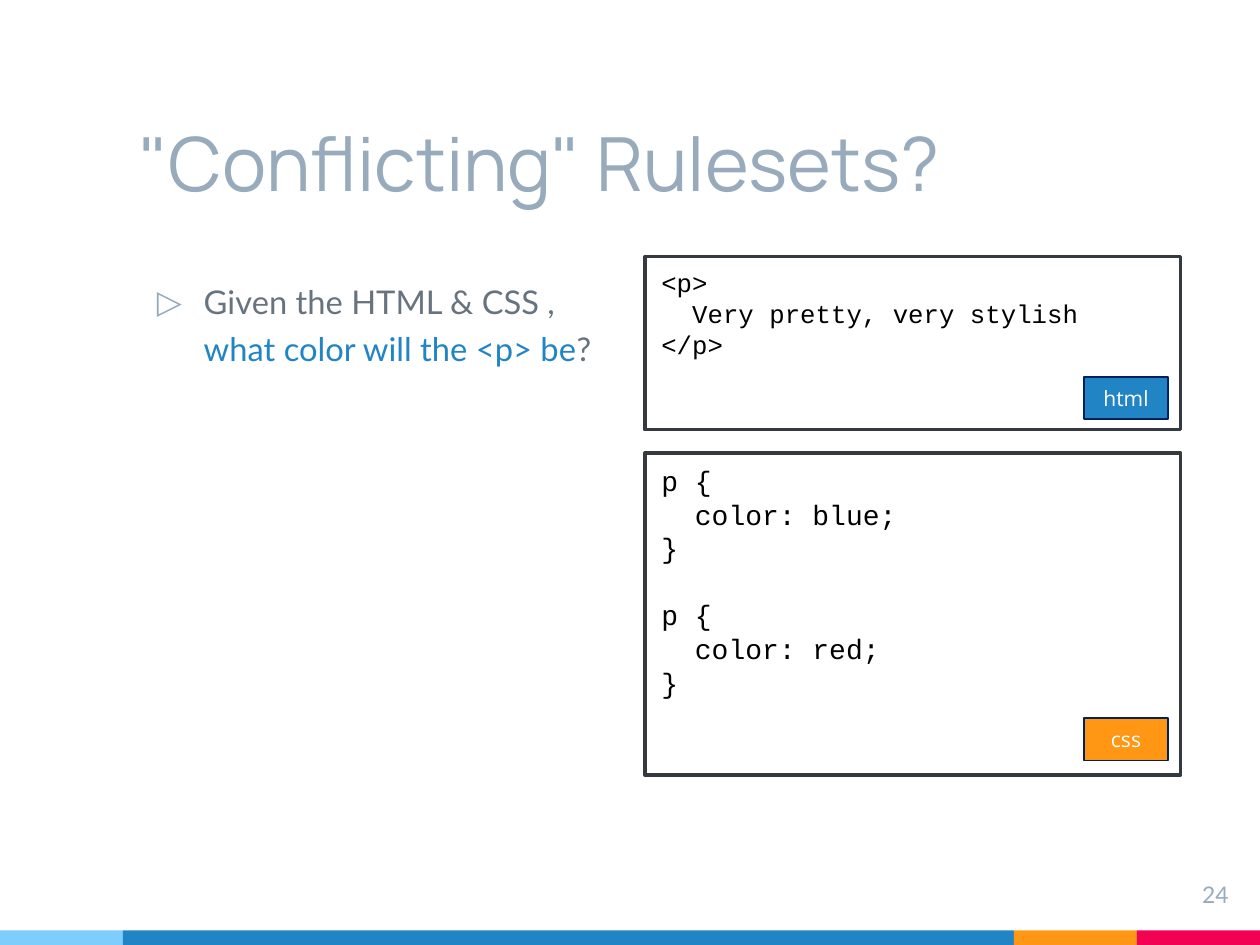
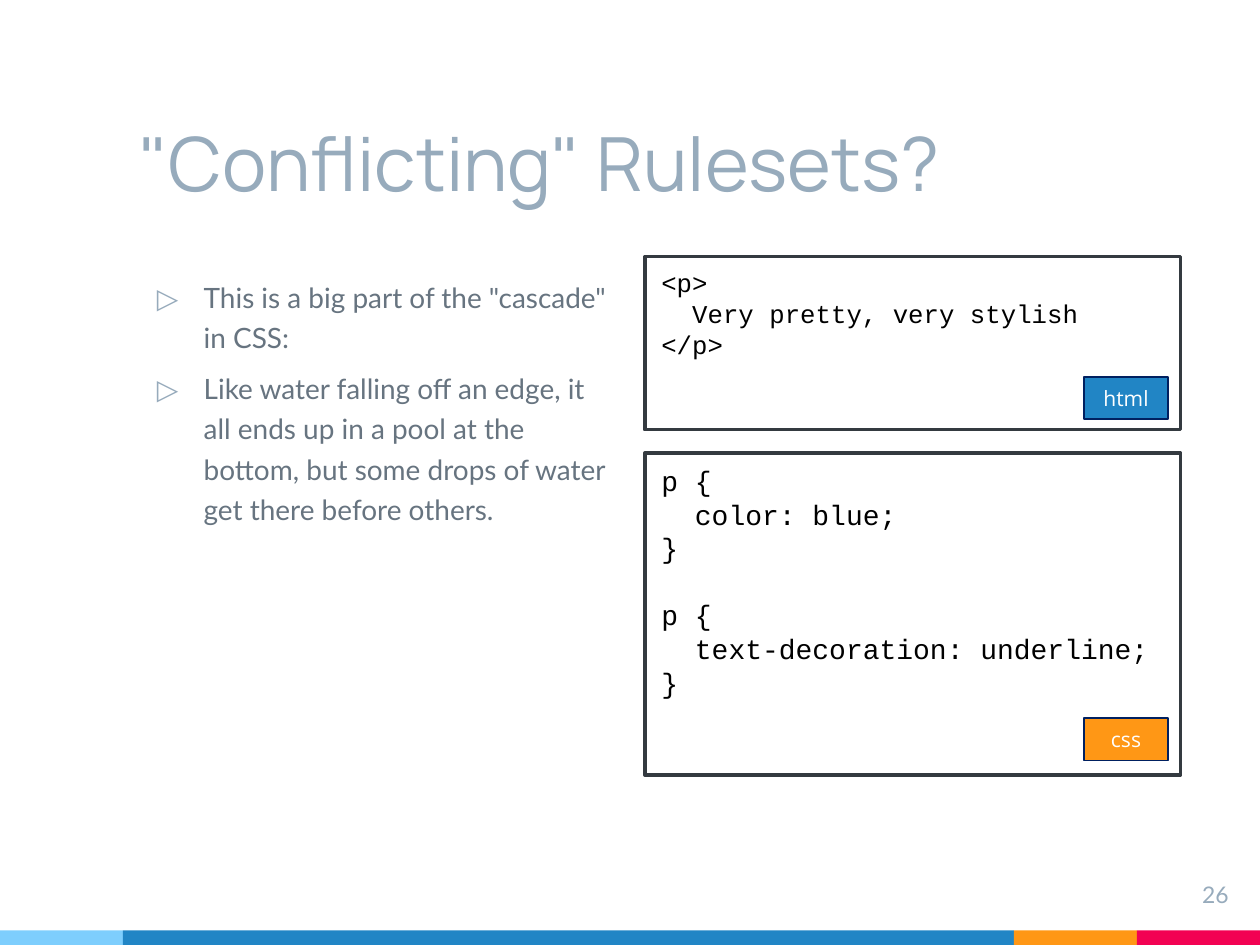
import dataclasses
import typing

import lxml.etree
import pptx
import pptx.dml.color
import pptx.enum.shapes
import pptx.enum.text
import pptx.oxml.ns
import pptx.presentation
import pptx.shapes.autoshape
import pptx.slide
import pptx.text.text
import pptx.util

Cm = pptx.util.Cm
Pt = pptx.util.Pt
ALIGN = pptx.enum.text.PP_ALIGN
ANCHOR = pptx.enum.text.MSO_ANCHOR


@dataclasses.dataclass(frozen=True)
class Theme:
    white: str = "FFFFFF"
    black: str = "000000"
    muted: str = "97ABBC"
    body: str = "677480"
    sky: str = "7ECEFD"
    blue: str = "2185C5"
    orange: str = "FF9715"
    pink: str = "F20253"
    frame: str = "343A40"
    navy: str = "002060"
    title_font: str = "Manrope"
    body_font: str = "Lato"
    code_font: str = "Courier New"
    tag_font: str = "Open Sans"
    title_size: float = 32
    number_size: float = 9.8
    tag_size: float = 9
    html_size: float = 11
    css_size: float = 12


THEME = Theme()


class Box(typing.NamedTuple):
    left: float
    top: float
    width: float
    height: float


class Span(typing.NamedTuple):
    text: str
    color: str = THEME.body


class CodeLine(typing.NamedTuple):
    text: str
    indent: int = 0
    gap: bool = False


@dataclasses.dataclass(frozen=True)
class CodePanel:
    box: Box
    size: float
    tag: str
    tag_color: str
    tag_top: float
    lines: list[CodeLine]


@dataclasses.dataclass(frozen=True)
class Page:
    number: int
    bullet_size: float
    bullets: list[list[Span]]
    declarations: list[str]


SLIDE_W, SLIDE_H = 19.05, 14.29
BAND_W, BAND_H = 1.86, 0.22
INSET = 0.25
CODE_PITCH = 1.2
CODE_CHAR = 0.6
TITLE = '"Conflicting" Rulesets?'
TITLE_BOX = Box(BAND_W, 1, 15.8, 2.38)
BODY_BOX = Box(BAND_W, 3.89, 7.67, 4.09)
NUMBER_BOX = Box(17.68, 13.06, 1.15, 0.87)
HTML_LINES = [
    CodeLine("<p>"),
    CodeLine("Very pretty, very stylish", indent=2),
    CodeLine("</p>"),
]
PAGES = [
    Page(
        24,
        14,
        [[
            Span("Given the HTML & CSS , "),
            Span("what color will the <p> be", THEME.blue),
            Span("?"),
        ]],
        ["color: blue;", "color: red;"],
    ),
    Page(
        26,
        12,
        [
            [Span('This is a big part of the "cascade" in CSS:')],
            [Span(
                "Like water falling off an edge, it all ends up in a pool at the "
                "bottom, but some drops of water get there before others."
            )],
        ],
        ["color: blue;", "text-decoration: underline;"],
    ),
]


def rgb(color: str) -> pptx.dml.color.RGBColor:
    return pptx.dml.color.RGBColor.from_string(color)


def add_text(
    p: pptx.text.text._Paragraph, text: str, *, font: str, size: float, color: str
) -> None:
    r = p.add_run()
    r.text = text
    r.font.name = font
    r.font.size = Pt(size)
    r.font.color.rgb = rgb(color)


def next_paragraph(tf: pptx.text.text.TextFrame, i: int) -> pptx.text.text._Paragraph:
    return tf.add_paragraph() if i else tf.paragraphs[0]


def set_frame(
    tf: pptx.text.text.TextFrame, anchor: ANCHOR, inset: float = INSET
) -> None:
    tf.word_wrap = True
    tf.auto_size = pptx.enum.text.MSO_AUTO_SIZE.NONE
    tf.vertical_anchor = anchor
    tf.margin_left = tf.margin_right = tf.margin_top = tf.margin_bottom = Cm(inset)


def place(sp: pptx.shapes.autoshape.Shape, box: Box) -> None:
    sp.left, sp.top, sp.width, sp.height = map(Cm, box)


def set_indent(p: pptx.text.text._Paragraph, left: int, first: int = 0) -> None:
    pPr = p._p.get_or_add_pPr()
    pPr.set("marL", str(left))
    pPr.set("indent", str(first))


def set_bullet(p: pptx.text.text._Paragraph) -> None:
    qn = pptx.oxml.ns.qn
    pPr = p._p.get_or_add_pPr()
    clr = lxml.etree.SubElement(pPr, qn("a:buClr"))
    lxml.etree.SubElement(clr, qn("a:srgbClr"), val=THEME.muted)
    lxml.etree.SubElement(pPr, qn("a:buFont"), typeface=THEME.body_font)
    lxml.etree.SubElement(pPr, qn("a:buChar"), char="▷")


def add_rect(
    s: pptx.slide.Slide,
    box: Box,
    fill: str | None = None,
    line: str | None = None,
    weight: float = 0.75,
) -> pptx.shapes.autoshape.Shape:
    sp = s.shapes.add_shape(
        pptx.enum.shapes.MSO_SHAPE.RECTANGLE, *map(Cm, box)
    )
    sp.shadow.inherit = False
    if fill:
        sp.fill.solid()
        sp.fill.fore_color.rgb = rgb(fill)
    else:
        sp.fill.background()
    if line:
        sp.line.color.rgb = rgb(line)
        sp.line.width = Pt(weight)
    else:
        sp.line.fill.background()
    return sp


def add_bands(s: pptx.slide.Slide) -> None:
    edges = [0, BAND_W, SLIDE_W - 2 * BAND_W, SLIDE_W - BAND_W, SLIDE_W]
    colors = [THEME.sky, THEME.blue, THEME.orange, THEME.pink]
    for left, right, color in zip(edges, edges[1:], colors):
        add_rect(s, Box(left, SLIDE_H - BAND_H, right - left, BAND_H), color)


def add_title(s: pptx.slide.Slide) -> None:
    sp = s.shapes.title
    place(sp, TITLE_BOX)
    set_frame(sp.text_frame, ANCHOR.BOTTOM)
    p = sp.text_frame.paragraphs[0]
    p.alignment = ALIGN.LEFT
    add_text(p, TITLE, font=THEME.title_font, size=THEME.title_size, color=THEME.muted)


def add_bullets(s: pptx.slide.Slide, page: Page) -> None:
    sp = s.placeholders[1]
    place(sp, BODY_BOX)
    tf = sp.text_frame
    set_frame(tf, ANCHOR.TOP)
    for i, spans in enumerate(page.bullets):
        p = next_paragraph(tf, i)
        p.line_spacing = 1.2
        p.space_before = Pt(4.5)
        set_indent(p, Cm(0.97), Cm(-0.71))
        set_bullet(p)
        for span in spans:
            add_text(
                p, span.text, font=THEME.body_font, size=page.bullet_size,
                color=span.color,
            )


def add_number(s: pptx.slide.Slide, number: int) -> None:
    tf = s.shapes.add_textbox(*map(Cm, NUMBER_BOX)).text_frame
    set_frame(tf, ANCHOR.TOP)
    p = tf.paragraphs[0]
    p.alignment = ALIGN.RIGHT
    add_text(
        p, str(number), font=THEME.body_font, size=THEME.number_size, color=THEME.muted
    )


def add_code(s: pptx.slide.Slide, panel: CodePanel) -> None:
    tf = add_rect(s, panel.box, line=THEME.frame, weight=1.5).text_frame
    set_frame(tf, ANCHOR.TOP)
    tf.margin_top = tf.margin_bottom = Cm(0.16)
    pitch = Pt(panel.size * CODE_PITCH)
    for i, line in enumerate(panel.lines):
        p = next_paragraph(tf, i)
        p.alignment = ALIGN.LEFT
        p.line_spacing = pitch
        p.space_before = pitch if line.gap else Pt(0)
        set_indent(p, Pt(line.indent * CODE_CHAR * panel.size))
        add_text(
            p, line.text, font=THEME.code_font, size=panel.size, color=THEME.black
        )

    tag_box = Box(16.39, panel.tag_top, 1.27, 0.64)
    tf = add_rect(s, tag_box, panel.tag_color, THEME.navy).text_frame
    set_frame(tf, ANCHOR.MIDDLE, 0)
    p = tf.paragraphs[0]
    p.alignment = ALIGN.CENTER
    add_text(
        p, panel.tag, font=THEME.tag_font, size=THEME.tag_size, color=THEME.white
    )


def css_lines(declarations: list[str]) -> list[CodeLine]:
    return [
        line
        for i, declaration in enumerate(declarations)
        for line in (
            CodeLine("p {", gap=i > 0),
            CodeLine(declaration, indent=2),
            CodeLine("}"),
        )
    ]


def add_page(prs: pptx.presentation.Presentation, page: Page) -> None:
    s = prs.slides.add_slide(prs.slide_layouts[1])
    add_bands(s)
    add_title(s)
    add_bullets(s, page)
    add_number(s, page.number)
    for panel in (
        CodePanel(
            Box(9.75, 3.88, 8.1, 2.62), THEME.html_size, "html", THEME.blue, 5.7,
            HTML_LINES,
        ),
        CodePanel(
            Box(9.75, 6.85, 8.1, 4.87), THEME.css_size, "css", THEME.orange, 10.86,
            css_lines(page.declarations),
        ),
    ):
        add_code(s, panel)


def main() -> None:
    prs = pptx.Presentation()
    prs.slide_width, prs.slide_height = Cm(SLIDE_W), Cm(SLIDE_H)
    for page in PAGES:
        add_page(prs, page)
    prs.save("out.pptx")


if __name__ == "__main__":
    main()
